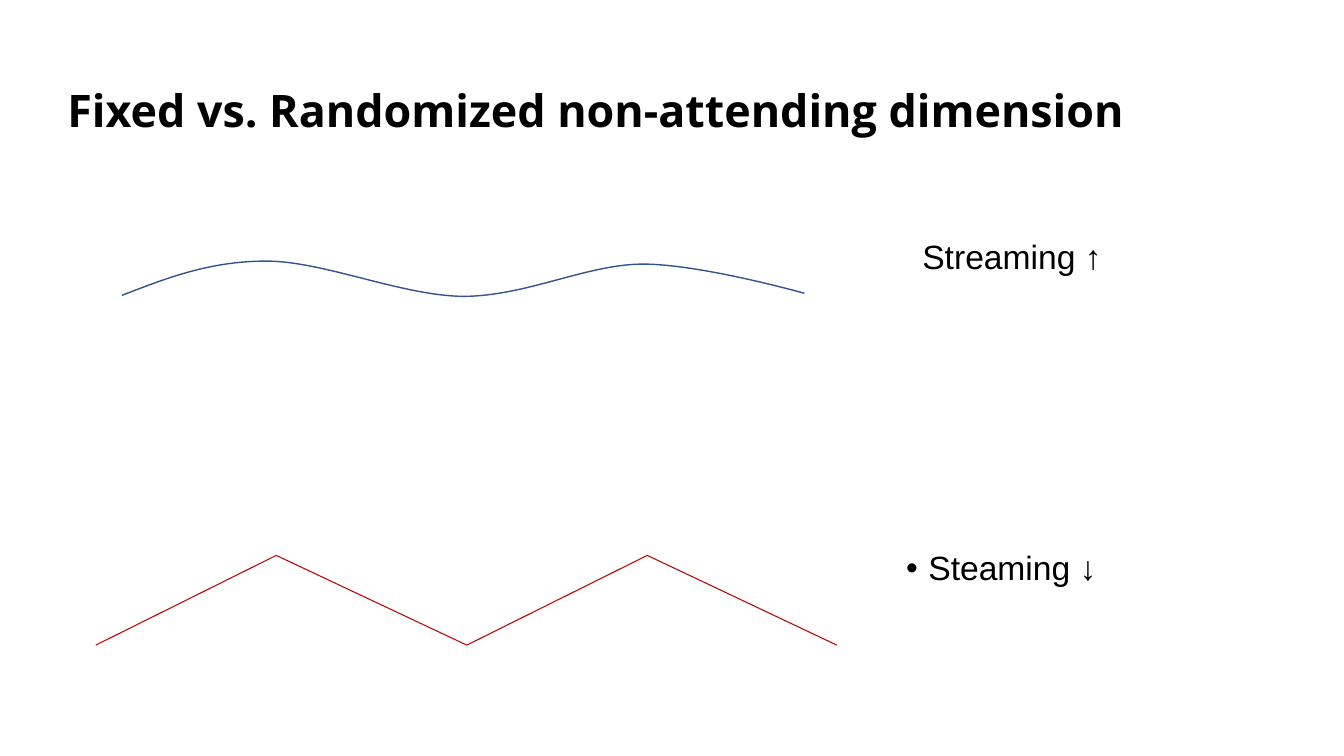
from itertools import pairwise

from lxml import etree
from pptx import Presentation
from pptx.dml.color import RGBColor
from pptx.enum.shapes import MSO_CONNECTOR
from pptx.enum.text import MSO_ANCHOR
from pptx.oxml.ns import qn
from pptx.util import Inches, Pt

STRAIGHT = MSO_CONNECTOR.STRAIGHT
TOP, MIDDLE = MSO_ANCHOR.TOP, MSO_ANCHOR.MIDDLE
BLACK, BLUE, RED = "000000", "31538F", "BB0000"


def color(code):
    return RGBColor.from_string(code)


class Deck:
    """Holds the text style and the current slide, and draws each kind of element."""

    def __init__(self, slide, font="Arial", size=24):
        self.slide, self.font, self.size = slide, font, size

    def text(self, words, box, font=None, size=None, bold=False,
             anchor=TOP, left=0, indent=0, bullet=None):
        frame = self.slide.shapes.add_textbox(*map(Inches, box)).text_frame
        frame.word_wrap = True
        frame.vertical_anchor = anchor
        para = frame.paragraphs[0]
        para.text = words
        props = para._p.get_or_add_pPr()
        props.set("marL", str(Inches(left)))
        props.set("indent", str(Inches(indent)))
        if bullet:
            tint = etree.SubElement(props, qn("a:buClr"))
            etree.SubElement(tint, qn("a:srgbClr"), val=BLACK)
            etree.SubElement(props, qn("a:buFont"), typeface=self.font)
            etree.SubElement(props, qn("a:buChar"), char=bullet)
        para.line_spacing = 0.9
        para.font.name = font or self.font
        para.font.size = Pt(size or self.size)
        para.font.bold = bold
        para.font.color.rgb = color(BLACK)

    def curve(self, points, tint, width):
        spots = [(Inches(x), Inches(y)) for x, y in points]
        pen = self.slide.shapes.build_freeform(*spots[0])
        pen.add_line_segments(spots[1:], close=False)
        shape = pen.convert_to_shape()
        shape.shadow.inherit = False
        shape.fill.background()
        shape.line.color.rgb = color(tint)
        shape.line.width = Pt(width)
        steps = list(shape._element.iter(qn("a:lnTo")))
        for i in range(0, len(steps), 3):
            bend = etree.Element(qn("a:cubicBezTo"))
            steps[i].addprevious(bend)
            for step in steps[i:i + 3]:
                bend.append(step[0])
                step.getparent().remove(step)

    def line(self, start, end, tint, width):
        link = self.slide.shapes.add_connector(
            STRAIGHT, *map(Inches, (*start, *end)))
        link.line.color.rgb = color(tint)
        link.line.width = Pt(width)
        etree.SubElement(link._element.spPr, qn("a:effectLst"))


def main():
    prs = Presentation()
    prs.slide_width, prs.slide_height = Inches(13.33), Inches(7.5)
    deck = Deck(prs.slides.add_slide(prs.slide_layouts[6]))

    deck.text("Fixed vs. Randomized non-attending dimension",
              (0.57, 0.4, 12.3, 1.45), "Open Sans", 32, True, MIDDLE)
    deck.text("Streaming ↑", (8.86, 2.34, 4.9, 1.82), left=0.25, indent=-0.06)
    deck.text("Steaming ↓", (8.86, 5.42, 4.9, 1.82),
              left=0.25, indent=-0.22, bullet="•")

    wave = [(1.21, 2.93),
            (1.65, 2.76), (2.08, 2.59), (2.64, 2.59),
            (3.21, 2.59), (3.97, 2.93), (4.59, 2.94),
            (5.22, 2.94), (5.82, 2.62), (6.38, 2.62),
            (6.95, 2.62), (7.98, 2.91), (7.98, 2.91)]
    deck.curve(wave, BLUE, 1)

    low, high = 6.4, 5.51
    zigzag = [(0.95, low), (2.74, high), (4.63, low), (6.42, high), (8.3, low)]
    for start, end in pairwise(zigzag):
        deck.line(start, end, RED, 0.75)

    prs.save("out.pptx")


if __name__ == "__main__":
    main()
